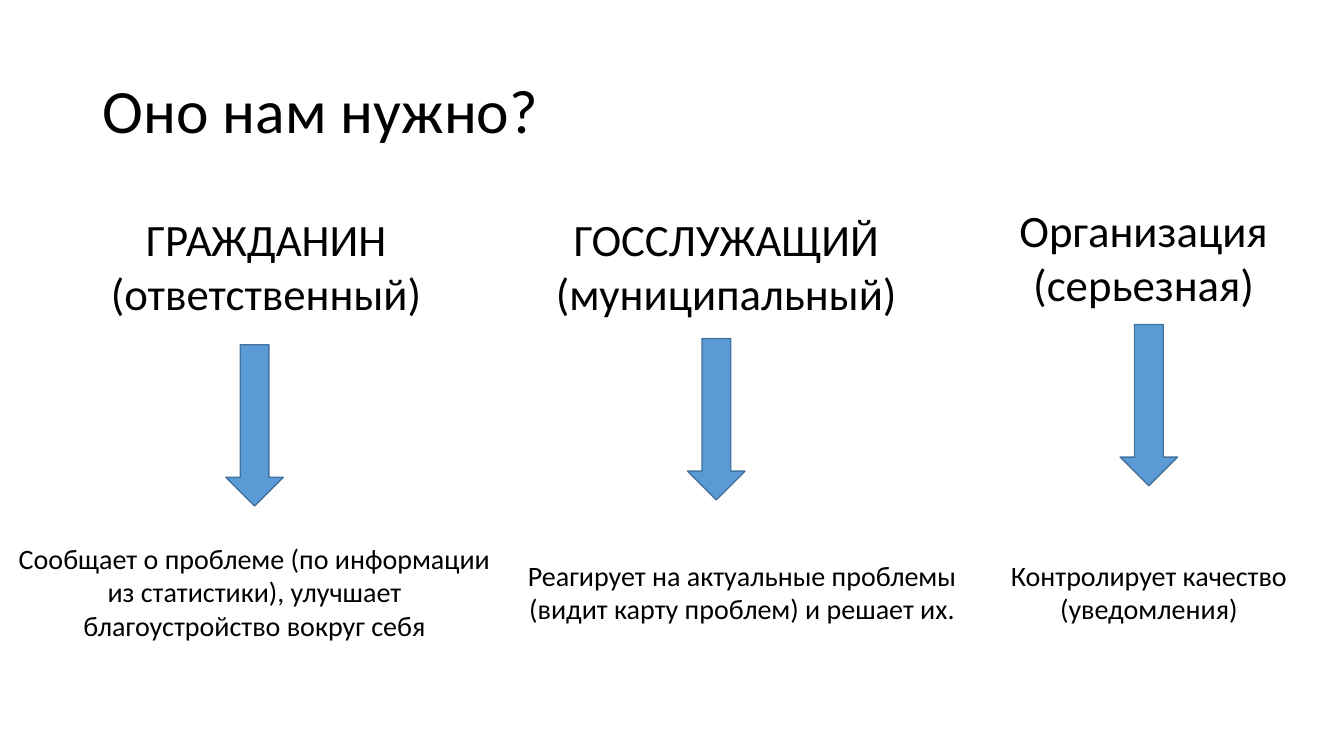
from dataclasses import dataclass

from pptx import Presentation
from pptx import util as u
from pptx.dml.color import RGBColor
from pptx.enum import shapes, text

PX = 9144
FONT = "Calibri"
COLORS = {"text": "000000", "arrow": "5B9BD5", "outline": "43739E"}
ARROW_WIDTH, ARROW_HEIGHT = 57, 160
ROLE_HEIGHT = 118


@dataclass(frozen=True)
class Box:
    left: int
    top: int
    width: int
    height: int

    def emu(self) -> tuple[int, ...]:
        return tuple(n * PX for n in (self.left, self.top, self.width, self.height))


@dataclass(frozen=True)
class Participant:
    role: str
    role_box: Box
    arrow_left: int
    arrow_top: int
    action: str
    action_box: Box


PARTICIPANTS = [
    Participant("ГРАЖДАНИН\n(ответственный)", Box(0, 205, 528, ROLE_HEIGHT), 224, 342,
                "Сообщает о проблеме (по информации из статистики), "
                "улучшает благоустройство вокруг себя", Box(6, 532, 493, 111)),
    Participant("ГОССЛУЖАЩИЙ\n(муниципальный)", Box(470, 205, 501, ROLE_HEIGHT), 682, 336,
                "Реагирует на актуальные проблемы (видит карту проблем) и решает их.",
                Box(500, 549, 472, 77)),
    Participant("Организация\n(серьезная)", Box(938, 196, 393, ROLE_HEIGHT), 1111, 322,
                "Контролирует качество (уведомления)", Box(973, 549, 333, 77)),
]


def color(name: str) -> RGBColor:
    return RGBColor.from_string(COLORS[name])


def write(frame, wording: str, *, size: int, align=text.PP_ALIGN.CENTER,
          anchor=text.MSO_ANCHOR.TOP, spacing: float = 1.0) -> None:
    frame.word_wrap = True
    frame.auto_size = text.MSO_AUTO_SIZE.NONE
    frame.vertical_anchor = anchor
    frame.text = wording
    for paragraph in frame.paragraphs:
        paragraph.alignment = align
        paragraph.line_spacing = spacing
        paragraph.font.name = FONT
        paragraph.font.size = u.Pt(size)
        paragraph.font.color.rgb = color("text")


def draw_title(slide, wording: str, box: Box) -> None:
    title = slide.shapes.title
    title.left, title.top, title.width, title.height = box.emu()
    write(title.text_frame, wording, size=44, align=text.PP_ALIGN.LEFT,
          anchor=text.MSO_ANCHOR.MIDDLE, spacing=0.9)


def draw_label(slide, wording: str, box: Box, size: int) -> None:
    label = slide.shapes.add_textbox(*box.emu())
    write(label.text_frame, wording, size=size)


def draw_arrow(slide, left: int, top: int) -> None:
    box = Box(left, top, ARROW_WIDTH, ARROW_HEIGHT)
    arrow = slide.shapes.add_shape(shapes.MSO_SHAPE.DOWN_ARROW, *box.emu())
    arrow.shadow.inherit = False
    arrow.fill.solid()
    arrow.fill.fore_color.rgb = color("arrow")
    arrow.line.color.rgb = color("outline")
    arrow.line.width = u.Pt(1)


def draw_participant(slide, participant: Participant) -> None:
    draw_label(slide, participant.role, participant.role_box, 32)
    draw_arrow(slide, participant.arrow_left, participant.arrow_top)
    draw_label(slide, participant.action, participant.action_box, 20)


def main() -> None:
    deck = Presentation()
    deck.slide_width, deck.slide_height = u.Emu(1333 * PX), u.Emu(750 * PX)
    slide = deck.slides.add_slide(deck.slide_layouts.get_by_name("Title Only"))
    draw_title(slide, "Оно нам нужно?", Box(92, 40, 1150, 145))
    for participant in PARTICIPANTS:
        draw_participant(slide, participant)
    deck.save("out.pptx")


if __name__ == "__main__":
    main()
